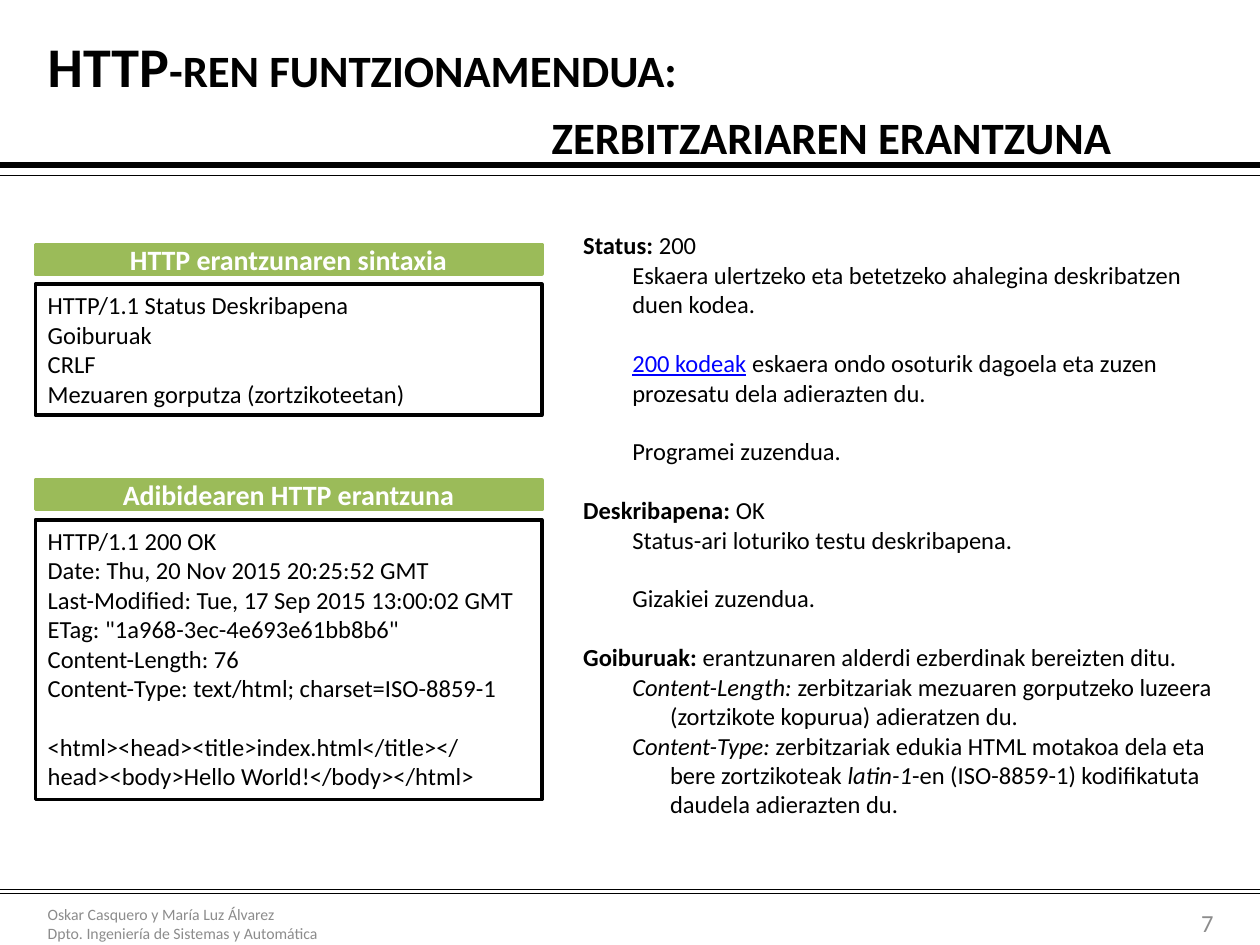
"""Build the slide on the syntax of an HTTP server response."""
from dataclasses import dataclass

from lxml import etree
from pptx import Presentation
from pptx.dml.color import RGBColor
from pptx.enum.shapes import MSO_CONNECTOR, MSO_SHAPE
from pptx.enum.text import MSO_ANCHOR, PP_ALIGN
from pptx.oxml.ns import qn
from pptx.util import Inches, Pt

STRAIGHT = MSO_CONNECTOR.STRAIGHT
RECTANGLE = MSO_SHAPE.RECTANGLE
TOP, MIDDLE = MSO_ANCHOR.TOP, MSO_ANCHOR.MIDDLE
LEFT, CENTER, RIGHT = PP_ALIGN.LEFT, PP_ALIGN.CENTER, PP_ALIGN.RIGHT

FONT = "Calibri"
COLORS = {"ink": "000000", "muted": "8C8C8C", "band": "9BBB59",
          "paper": "FFFFFF", "link": "0000FF"}
BLANK_LINE = 16.8
DETAIL = 0.39
HANGING = 0.69


@dataclass(frozen=True)
class Span:
    """Hold a stretch of text with one look."""
    text: str
    bold: bool = False
    italic: bool = False
    link: bool = False


@dataclass(frozen=True)
class Para:
    """Hold a paragraph with its margin, first-line indent and gap."""
    spans: tuple[Span, ...]
    margin: float = 0
    indent: float = 0
    gap: float = 0


@dataclass(frozen=True)
class Style:
    """Hold the text style of a whole block."""
    size: float
    color: str = "ink"
    align: PP_ALIGN = LEFT
    anchor: MSO_ANCHOR = TOP
    small_caps: bool = False


@dataclass(frozen=True)
class Area:
    """Hold a place in percent of the slide's width and height."""
    left: float
    top: float
    width: float
    height: float


@dataclass(frozen=True)
class Panel:
    """Hold a headed box of the left column."""
    top: float
    height: float
    heading: str
    lines: tuple[Para, ...]


@dataclass(frozen=True)
class Rule:
    """Hold a full-width line."""
    top: float
    weight: float


def plain(text: str, gap: float = 0) -> Para:
    return Para((Span(text),), gap=gap)


def term(label: str, text: str, gap: float = 0) -> Para:
    return Para((Span(label, bold=True), Span(text)), gap=gap)


def detail(*spans: Span, gap: float = 0) -> Para:
    return Para(spans, DETAIL, gap=gap)


def header(*spans: Span) -> Para:
    return Para(spans, HANGING, DETAIL - HANGING)


RULES = (Rule(17.47, 3), Rule(18.53, 0.25), Rule(94.13, 0.25), Rule(94.53, 0.25))

TITLE = (Para((Span("HTTP-ren funtzionamendua:", bold=True),)),
         Para((Span("zerbitzariaren erantzuna", bold=True),), margin=4))

FOOTER = (plain("Oskar Casquero y María Luz Álvarez"),
          plain("Dpto. Ingeniería de Sistemas y Automática"))

PANELS = (
    Panel(25.87, 13.87, "HTTP erantzunaren sintaxia", (
        plain("HTTP/1.1 Status Deskribapena"),
        plain("Goiburuak"),
        plain("CRLF"),
        plain("Mezuaren gorputza (zortzikoteetan)"))),
    Panel(50.8, 29.6, "Adibidearen HTTP erantzuna", (
        plain("HTTP/1.1 200 OK"),
        plain("Date: Thu, 20 Nov 2015 20:25:52 GMT"),
        plain("Last-Modified: Tue, 17 Sep 2015 13:00:02 GMT"),
        plain('ETag: "1a968-3ec-4e693e61bb8b6"'),
        plain("Content-Length: 76"),
        plain("Content-Type: text/html; charset=ISO-8859-1"),
        plain("<html><head><title>index.html</title></head>"
              "<body>Hello World!</body></html>", BLANK_LINE))),
)

EXPLANATION = (
    term("Status:", " 200"),
    detail(Span("Eskaera ulertzeko eta betetzeko ahalegina deskribatzen duen kodea.")),
    detail(Span("200 kodeak", link=True),
           Span(" eskaera ondo osoturik dagoela eta zuzen prozesatu dela adierazten du."),
           gap=BLANK_LINE),
    detail(Span("Programei zuzendua."), gap=BLANK_LINE),
    term("Deskribapena:", " OK", BLANK_LINE),
    detail(Span("Status-ari loturiko testu deskribapena.")),
    detail(Span("Gizakiei zuzendua."), gap=BLANK_LINE),
    term("Goiburuak: ", "erantzunaren alderdi ezberdinak bereizten ditu.", BLANK_LINE),
    header(Span("Content-Length: ", italic=True),
           Span("zerbitzariak mezuaren gorputzeko luzeera (zortzikote kopurua) "
                "adieratzen du.")),
    header(Span("Content-Type: ", italic=True),
           Span("zerbitzariak edukia HTML motakoa dela eta bere zortzikoteak "),
           Span("latin-1", italic=True),
           Span("-en (ISO-8859-1) kodifikatuta daudela adierazten du.")),
)

deck = Presentation()
deck.slide_width, deck.slide_height = Inches(10), Inches(7.5)
slide = deck.slides.add_slide(deck.slide_layouts[6])


def rgb(name: str) -> RGBColor:
    return RGBColor.from_string(COLORS[name])


def place(area: Area) -> tuple[int, int, int, int]:
    across, down = deck.slide_width / 100, deck.slide_height / 100
    return (round(area.left * across), round(area.top * down),
            round(area.width * across), round(area.height * down))


def write(frame, paras: tuple[Para, ...], style: Style) -> None:
    frame.word_wrap = True
    frame.vertical_anchor = style.anchor
    for number, para in enumerate(paras):
        line = frame.add_paragraph() if number else frame.paragraphs[0]
        line.alignment = style.align
        line.space_before = Pt(para.gap)
        props = line._p.get_or_add_pPr()
        props.set("marL", str(Inches(para.margin)))
        props.set("indent", str(Inches(para.indent)))
        for span in para.spans:
            run = line.add_run()
            run.text = span.text
            run.font.name, run.font.size = FONT, Pt(style.size)
            run.font.bold, run.font.italic = span.bold, span.italic
            run.font.underline = span.link
            run.font.color.rgb = rgb("link" if span.link else style.color)
            if style.small_caps:
                run.font._element.set("cap", "small")


def add_text(area: Area, paras: tuple[Para, ...], style: Style) -> None:
    write(slide.shapes.add_textbox(*place(area)).text_frame, paras, style)


def add_box(area: Area, paras: tuple[Para, ...], style: Style, edge: str,
            filled: bool = False) -> None:
    box = slide.shapes.add_shape(RECTANGLE, *place(area))
    box.shadow.inherit = False
    if filled:
        box.fill.solid()
        box.fill.fore_color.rgb = rgb(edge)
    else:
        box.fill.background()
    box.line.color.rgb, box.line.width = rgb(edge), Pt(2)
    write(box.text_frame, paras, style)


def add_panel(panel: Panel) -> None:
    heading = (Para((Span(panel.heading, bold=True),)),)
    add_box(Area(2.8, panel.top + 4.2, 40.2, panel.height), panel.lines,
            Style(14), "ink")
    add_box(Area(2.8, panel.top, 40.2, 3.13), heading,
            Style(16, "paper", CENTER, MIDDLE), "band", filled=True)


def add_rule(rule: Rule) -> None:
    left, top, width, _ = place(Area(0, rule.top, 100, 0))
    line = slide.shapes.add_connector(STRAIGHT, left, top, left + width, top)
    line.line.color.rgb, line.line.width = rgb("ink"), Pt(rule.weight)
    etree.SubElement(line._element.spPr, qn("a:effectLst"))


for rule in RULES:
    add_rule(rule)
add_text(Area(2.8, 95.07, 37, 5.33), FOOTER, Style(9, "muted", anchor=MIDDLE))
add_text(Area(2.8, 3.87, 94.5, 13.07), TITLE,
         Style(32, anchor=MIDDLE, small_caps=True))
add_text(Area(89.4, 95.73, 7.9, 3.73), (plain("7"),),
         Style(14, "muted", RIGHT, MIDDLE))
add_text(Area(45.3, 23.73, 53.5, 64.13), EXPLANATION, Style(14))
for panel in PANELS:
    add_panel(panel)

deck.save("out.pptx")
